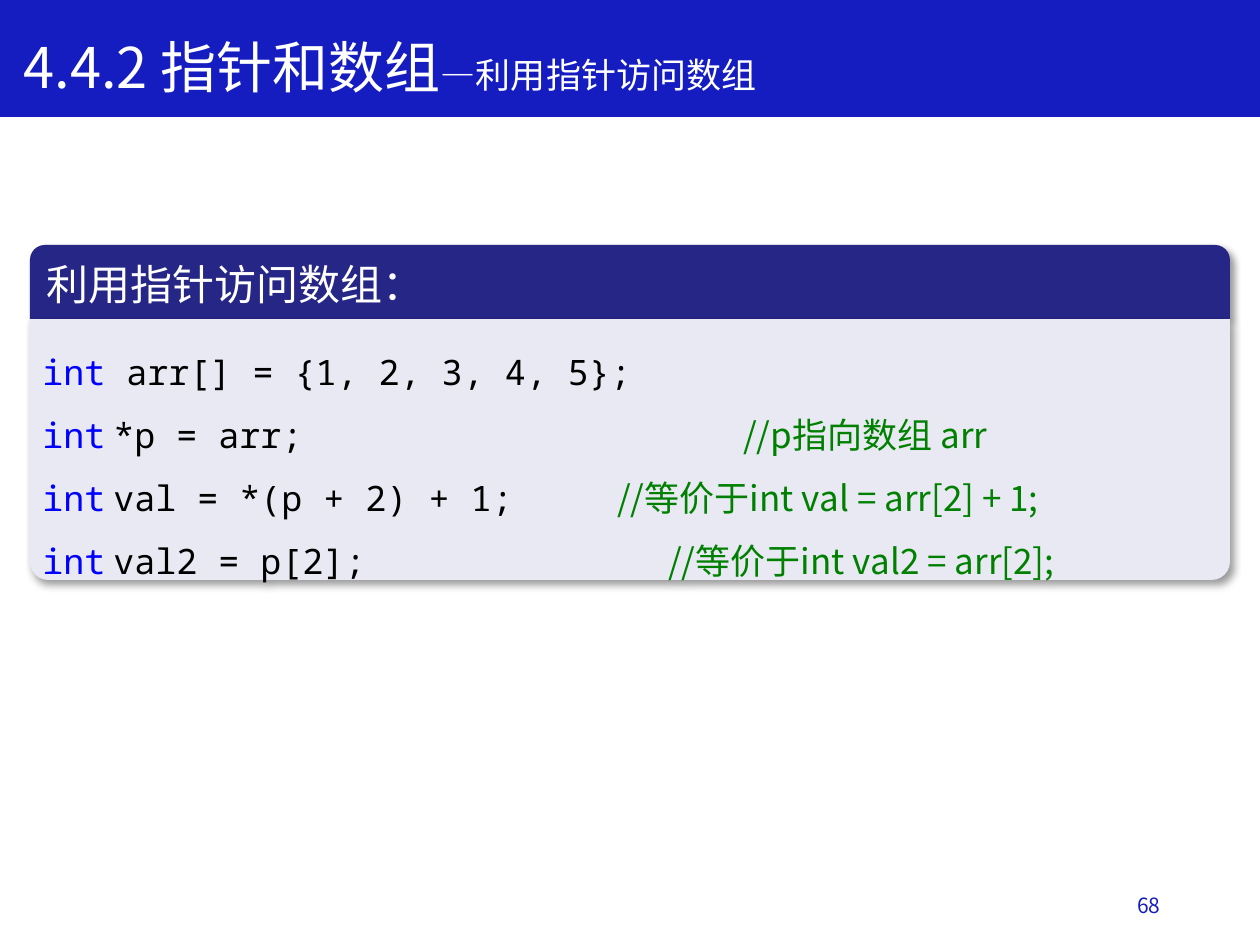
from dataclasses import dataclass

from lxml import etree
from pptx import Presentation
from pptx import util as u
from pptx.dml.color import RGBColor
from pptx.enum import shapes, text
from pptx.oxml.ns import qn

EMU_PER_PX = 914400 // 126


@dataclass(frozen=True)
class Theme:
    sans: str = "Noto Sans CJK SC"
    mono: str = "Noto Sans Mono"
    blue: str = "151DC1"
    navy: str = "262686"
    panel: str = "E9E9F3"
    white: str = "FFFFFF"
    black: str = "000000"
    keyword: str = "0000FF"
    comment: str = "008000"
    title: int = 32
    heading: int = 24
    body: int = 20
    number: int = 12


@dataclass(frozen=True)
class Box:
    x: int
    y: int
    w: int
    h: int

    def emu(self) -> tuple[int, ...]:
        return tuple(px(v) for v in (self.x, self.y, self.w, self.h))


@dataclass(frozen=True)
class CodeLine:
    code: str
    comment: str = ""
    comment_x: int = 0
    gap_font: str = Theme.sans


T = Theme()
TEXT_X = 43
CODE = [
    CodeLine("arr[] = {1, 2, 3, 4, 5};", gap_font=T.mono),
    CodeLine("*p = arr;", "//p指向数组 arr", 744),
    CodeLine("val = *(p + 2) + 1;", "//等价于int val = arr[2] + 1;", 618),
    CodeLine("val2 = p[2];", "//等价于int val2 = arr[2];", 669),
]


def px(n: int) -> int:
    return n * EMU_PER_PX


def set_font(font, size: int, color: str, name: str = T.sans) -> None:
    font.size = u.Pt(size)
    font.color.rgb = RGBColor.from_string(color)
    font.name = name
    # East Asian characters take their typeface from a separate element.
    latin = font._element.find(qn("a:latin"))
    ea = etree.Element(qn("a:ea"), typeface=T.sans)
    latin.addnext(ea)


def add_run(p, words: str, size: int, color: str, name: str = T.sans) -> None:
    r = p.add_run()
    r.text = words
    set_font(r.font, size, color, name)


def add_block(parent, kind, box: Box, color: str, adj: tuple[float, ...] = ()):
    sp = parent.add_shape(kind, *box.emu())
    sp.shadow.inherit = False
    sp.fill.solid()
    sp.fill.fore_color.rgb = RGBColor.from_string(color)
    sp.line.fill.background()
    for i, value in enumerate(adj):
        sp.adjustments[i] = value
    return sp


def add_shadow(sp) -> None:
    effects = sp._element.spPr.find(qn("a:effectLst"))
    shadow = etree.SubElement(
        effects, qn("a:outerShdw"), blurRad=str(u.Pt(4)), dist=str(u.Pt(3)),
        dir=str(45 * 60000), algn="tl", rotWithShape="0")
    color = etree.SubElement(shadow, qn("a:srgbClr"), val=T.black)
    etree.SubElement(color, qn("a:alpha"), val="40000")


def add_tab(p, x: int) -> None:
    """Put a left tab stop at slide position x."""
    tabs = etree.SubElement(p._p.get_or_add_pPr(), qn("a:tabLst"))
    etree.SubElement(tabs, qn("a:tab"), pos=str(px(x - TEXT_X)), algn="l")


def add_code_line(p, line: CodeLine) -> None:
    p.alignment = text.PP_ALIGN.LEFT
    p.line_spacing = u.Pt(36)
    if line.comment:
        add_tab(p, line.comment_x)
    add_run(p, "int", T.body, T.keyword, T.mono)
    add_run(p, " ", T.body, T.black, line.gap_font)
    add_run(p, line.code, T.body, T.black, T.mono)
    if line.comment:
        add_run(p, "\t" + line.comment, T.body, T.comment)


def add_title(s) -> None:
    bar = add_block(s.shapes, shapes.MSO_SHAPE.RECTANGLE, Box(0, 0, 1260, 116), T.blue)
    bar.line.color.rgb = RGBColor.from_string(T.blue)
    bar.line.width = u.Pt(1)
    tf = s.shapes.add_textbox(*Box(11, 21, 903, 81).emu()).text_frame
    tf.word_wrap = True
    tf.margin_top = px(12)
    p = tf.paragraphs[0]
    p.line_spacing = u.Pt(38)
    add_run(p, "4.4.2 指针和数组", T.title, T.white)
    add_run(p, "—利用指针访问数组", T.body, T.white)


def add_code_panel(s) -> None:
    group = s.shapes.add_group_shape().shapes
    kind = shapes.MSO_SHAPE.ROUND_2_SAME_RECTANGLE
    head = add_block(group, kind, Box(30, 245, 1200, 74), T.navy, (0.2, 0))
    add_shadow(head)
    head.text_frame.vertical_anchor = text.MSO_ANCHOR.MIDDLE
    p = head.text_frame.paragraphs[0]
    p.text = "利用指针访问数组："
    p.alignment = text.PP_ALIGN.LEFT
    set_font(p.font, T.heading, T.white)

    body = add_block(group, kind, Box(30, 319, 1200, 261), T.panel, (0, 0.07))
    add_shadow(body)
    tf = body.text_frame
    tf.word_wrap = True
    tf.vertical_anchor = text.MSO_ANCHOR.TOP
    tf.margin_left, tf.margin_top = px(7), px(10)
    for i, line in enumerate(CODE):
        add_code_line(tf.add_paragraph() if i else tf.paragraphs[0], line)


def add_page_number(s) -> None:
    tf = s.shapes.add_textbox(*Box(890, 880, 283, 50).emu()).text_frame
    tf.word_wrap = True
    tf.vertical_anchor = text.MSO_ANCHOR.MIDDLE
    p = tf.paragraphs[0]
    p.text = "68"
    p.alignment = text.PP_ALIGN.RIGHT
    set_font(p.font, T.number, T.blue)


def main() -> None:
    prs = Presentation()
    prs.slide_width, prs.slide_height = u.Inches(10), u.Inches(7.5)
    s = prs.slides.add_slide(prs.slide_layouts[6])
    add_title(s)
    add_page_number(s)
    add_code_panel(s)
    prs.save("out.pptx")


if __name__ == "__main__":
    main()
